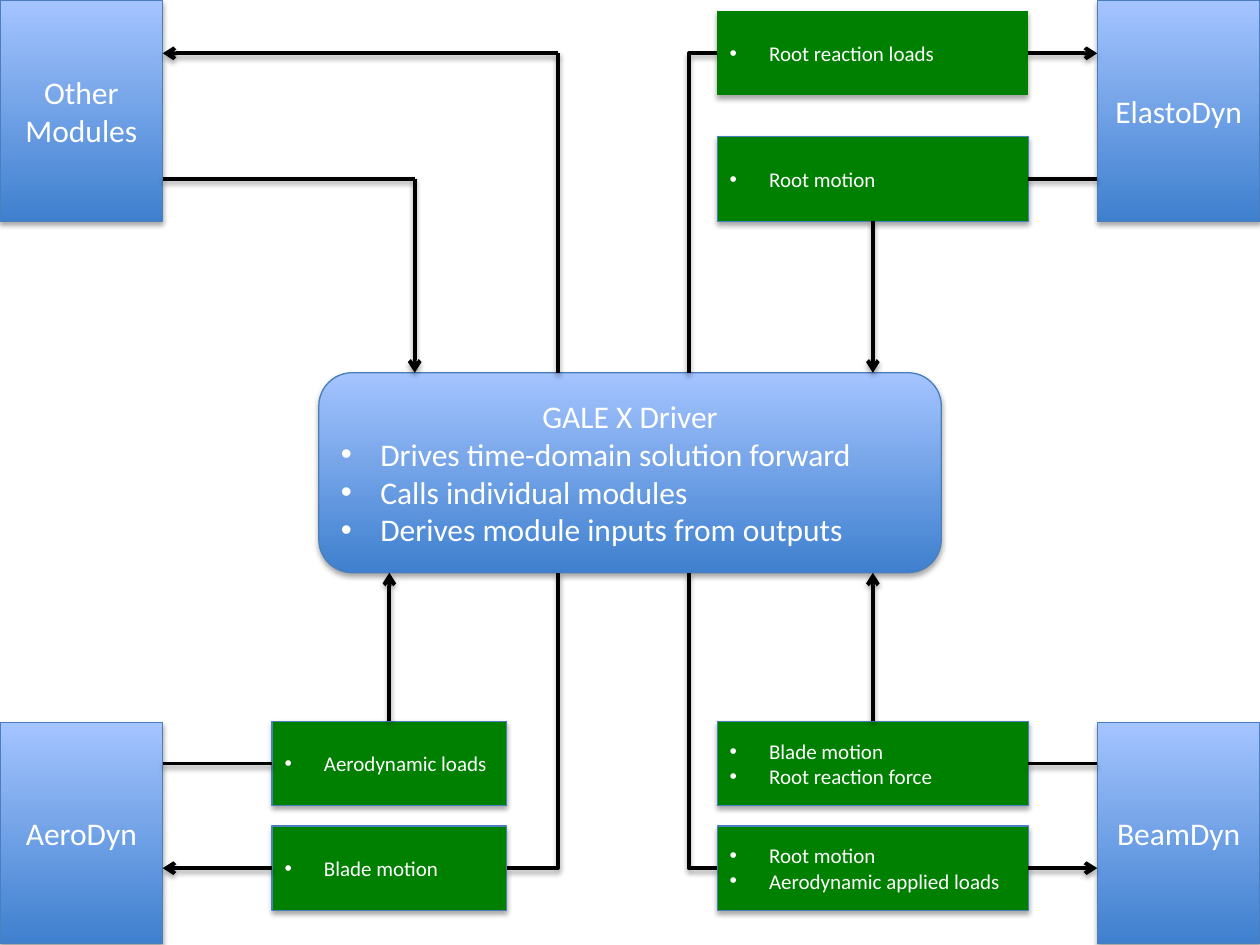
from lxml.etree import SubElement
from pptx import Presentation
from pptx.dml.color import RGBColor
from pptx.enum.shapes import MSO_CONNECTOR as Conn, MSO_SHAPE as Shape
from pptx.enum.text import MSO_ANCHOR as Anchor, PP_ALIGN as Align
from pptx.oxml.ns import qn
from pptx.util import Pt

COLORS = {"light": "A4C4FF", "dark": "3F80CE", "edge": "4B7EBC",
          "green": "008000", "text": "FFFFFF", "line": "000000"}
TOP, LEFT, BOTTOM, RIGHT = range(4)
MODULE_W, MODULE_H = 93, 126.4
MODULE_RIGHT_X = 720 - MODULE_W
LOWER_Y = 540 - MODULE_H - 0.8
BOX_H = 48.2
ROWS = [6.4, 78.2, 412.2, 472]
MIDDLES = [y + BOX_H / 2 for y in ROWS]
LEFT_BOX = (155.5, 134)
RIGHT_BOX = (409.9, 177.8)
DRIVER = (182.2, 213, 355.7, 114.3)
DRIVER_TOP, DRIVER_BOTTOM = DRIVER[1], DRIVER[1] + DRIVER[3]
LEFT_LANE, RIGHT_LANE, INPUT_LANE = 318.8, 393.7, 237


def rgb(name):
    return RGBColor.from_string(COLORS[name])


def add_shadow(sp):
    sppr = sp._element.spPr
    for old in sppr.findall(qn("a:effectLst")):
        sppr.remove(old)
    effects = SubElement(sppr, qn("a:effectLst"))
    shadow = SubElement(effects, qn("a:outerShdw"), blurRad=str(Pt(3.1)),
                        dist=str(Pt(1.8)), dir="5400000", rotWithShape="0")
    color = SubElement(shadow, qn("a:srgbClr"), val=COLORS["line"])
    SubElement(color, qn("a:alpha"), val="35000")


def add_bullet(p):
    ppr = p._p.get_or_add_pPr()
    ppr.set("marL", str(Pt(22.5)))
    ppr.set("indent", str(Pt(-22.5)))
    SubElement(ppr, qn("a:buFont"), typeface="Arial")
    SubElement(ppr, qn("a:buChar"), char="•")


def add_block(s, kind, at, text, size, centered=0, green=False, outline=True):
    sp = s.shapes.add_shape(kind, *map(Pt, at))
    if green:
        sp.fill.solid()
        sp.fill.fore_color.rgb = rgb("green")
    else:
        sp.fill.gradient()
        sp.fill.gradient_angle = 90
        for stop, name in zip(sp.fill.gradient_stops, ("dark", "light")):
            stop.color.rgb = rgb(name)
    if outline:
        sp.line.color.rgb = rgb("edge")
        sp.line.width = Pt(0.75)
    else:
        sp.line.fill.background()
    add_shadow(sp)
    tf = sp.text_frame
    tf.word_wrap = True
    tf.vertical_anchor = Anchor.MIDDLE
    tf.text = text
    for i, p in enumerate(tf.paragraphs):
        p.alignment = Align.CENTER if i < centered else Align.LEFT
        if i >= centered:
            add_bullet(p)
        for r in p.runs:
            r.font.name = "Calibri"
            r.font.size = Pt(size)
            r.font.color.rgb = rgb("text")
    return sp


def add_module(s, x, y, text):
    return add_block(s, Shape.FLOWCHART_PROCESS, (x, y, MODULE_W, MODULE_H),
                     text, 18, centered=2)


def add_box(s, column, row, text, outline=True):
    x, w = column
    return add_block(s, Shape.FLOWCHART_PROCESS, (x, ROWS[row], w, BOX_H),
                     text, 12, green=True, outline=outline)


def add_line(s, start, end, arrow=False, kind=Conn.STRAIGHT):
    c = s.shapes.add_connector(kind, *map(Pt, (*start, *end)))
    c.line.color.rgb = rgb("line")
    c.line.width = Pt(2.25)
    if arrow:
        SubElement(c.line._get_or_add_ln(), qn("a:tailEnd"), type="arrow")
    add_shadow(c)
    return c


def add_elbow(s, start, end):
    c = add_line(s, start, end, kind=Conn.ELBOW)
    c._element.spPr.find(qn("a:prstGeom")).set("prst", "bentConnector2")


def link(s, box, side, end, arrow=False):
    c = add_line(s, end, end, arrow)
    c.begin_connect(box, side)


def main():
    prs = Presentation()
    prs.slide_width, prs.slide_height = Pt(720), Pt(540)
    s = prs.slides.add_slide(prs.slide_layouts[6])

    add_block(s, Shape.FLOWCHART_ALTERNATE_PROCESS, DRIVER,
              "GALE X Driver\nDrives time-domain solution forward\n"
              "Calls individual modules\nDerives module inputs from outputs",
              18, centered=1)
    for x, y, text in [(0, 0, "Other\nModules"),
                       (MODULE_RIGHT_X, 0, "ElastoDyn"),
                       (0, LOWER_Y, "AeroDyn"),
                       (MODULE_RIGHT_X, LOWER_Y, "BeamDyn")]:
        add_module(s, x, y, text)

    reaction = add_box(s, RIGHT_BOX, 0, "Root reaction loads", outline=False)
    root = add_box(s, RIGHT_BOX, 1, "Root motion")
    aero_loads = add_box(s, LEFT_BOX, 2, "Aerodynamic loads")
    blade = add_box(s, LEFT_BOX, 3, "Blade motion")
    beam_out = add_box(s, RIGHT_BOX, 2, "Blade motion\nRoot reaction force")
    beam_in = add_box(s, RIGHT_BOX, 3, "Root motion\nAerodynamic applied loads")

    for box, side, x, row, arrow in [
            (reaction, RIGHT, MODULE_RIGHT_X, 0, True),
            (root, RIGHT, MODULE_RIGHT_X, 1, False),
            (aero_loads, LEFT, MODULE_W, 2, False),
            (blade, LEFT, MODULE_W, 3, True),
            (beam_out, RIGHT, MODULE_RIGHT_X, 2, False),
            (beam_in, RIGHT, MODULE_RIGHT_X, 3, True)]:
        link(s, box, side, (x, MIDDLES[row]), arrow)

    for box, side, column, y in [(root, BOTTOM, RIGHT_BOX, DRIVER_TOP),
                                 (aero_loads, TOP, LEFT_BOX, DRIVER_BOTTOM),
                                 (beam_out, TOP, RIGHT_BOX, DRIVER_BOTTOM)]:
        link(s, box, side, (column[0] + column[1] / 2, y), arrow=True)

    for x, row, lane, y in [(RIGHT_BOX[0], 0, RIGHT_LANE, DRIVER_TOP),
                            (sum(LEFT_BOX), 3, LEFT_LANE, DRIVER_BOTTOM),
                            (RIGHT_BOX[0], 3, RIGHT_LANE, DRIVER_BOTTOM)]:
        add_elbow(s, (x, MIDDLES[row]), (lane, y))

    for start, corner, end in [
            ((LEFT_LANE, DRIVER_TOP), (LEFT_LANE, MIDDLES[0]), (MODULE_W, MIDDLES[0])),
            ((MODULE_W, MIDDLES[1]), (INPUT_LANE, MIDDLES[1]), (INPUT_LANE, DRIVER_TOP))]:
        add_line(s, start, corner)
        add_line(s, corner, end, arrow=True)

    prs.save("out.pptx")


if __name__ == "__main__":
    main()
